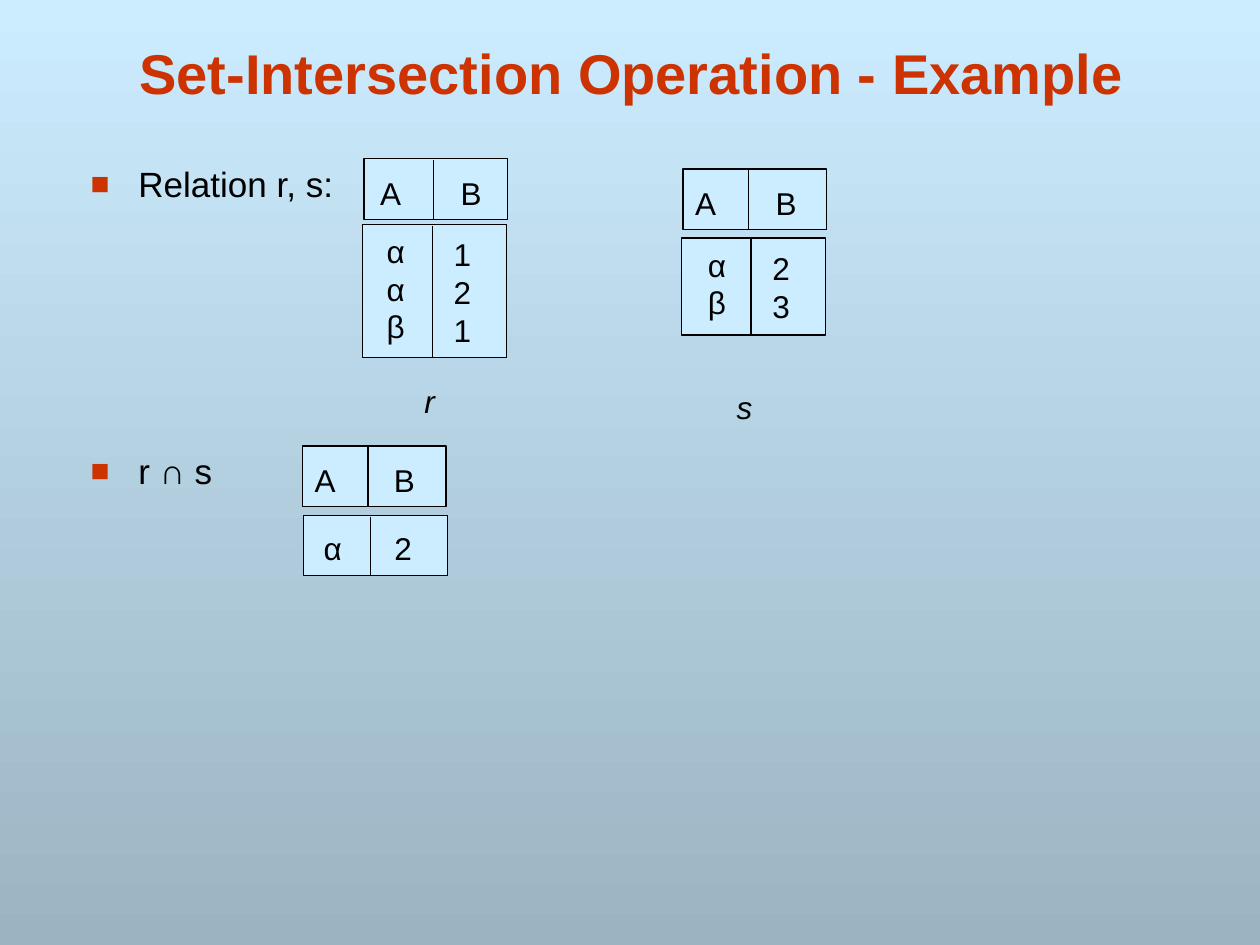
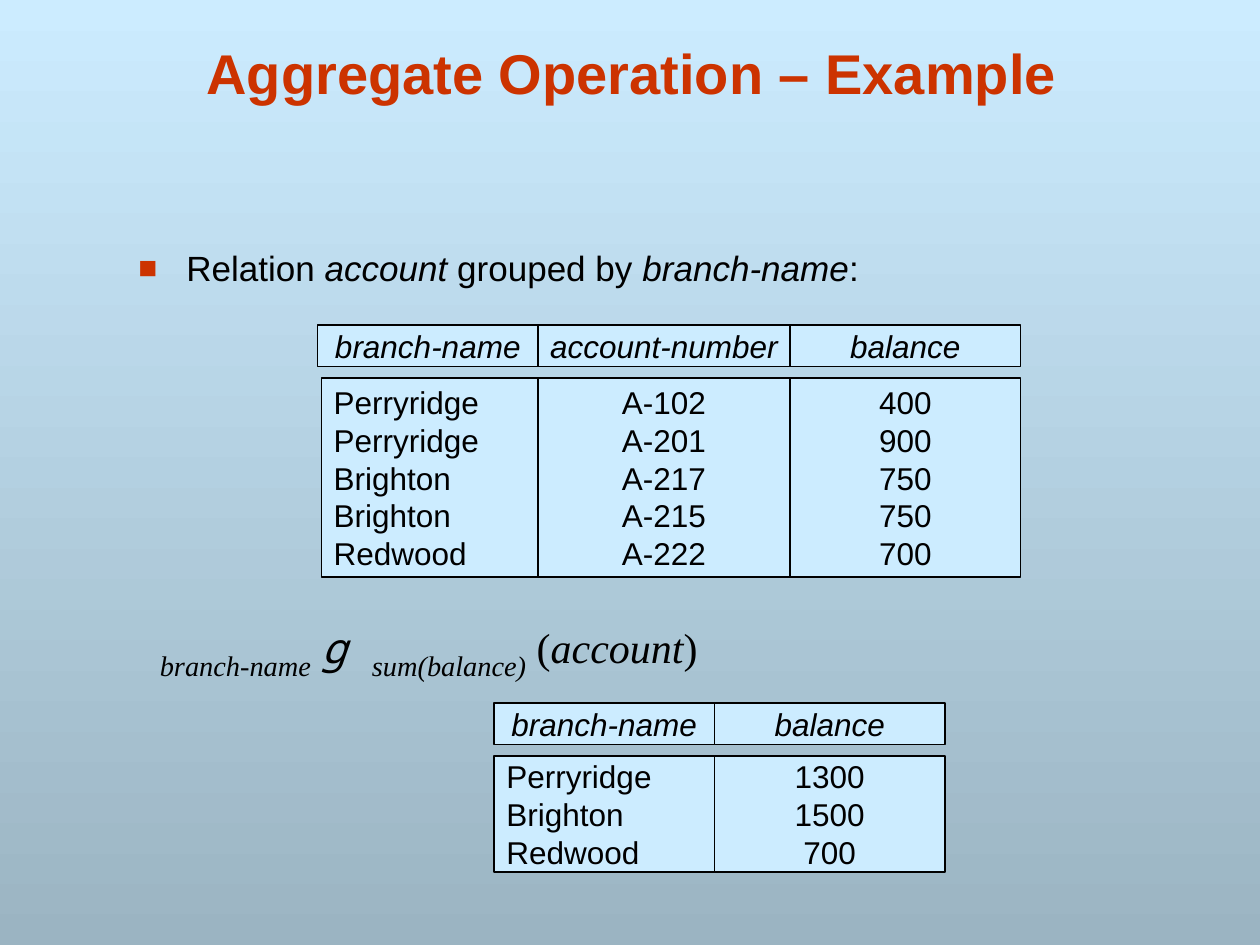
from lxml import etree
from pptx import Presentation
from pptx.dml.color import RGBColor
from pptx.enum.shapes import MSO_CONNECTOR, MSO_SHAPE
from pptx.enum.text import MSO_ANCHOR, PP_ALIGN
from pptx.oxml.ns import qn
from pptx.util import Inches, Pt

RECT, LINE = MSO_SHAPE.RECTANGLE, MSO_CONNECTOR.STRAIGHT
LEFT, MID = PP_ALIGN.LEFT, PP_ALIGN.CENTER
TOP, CENTER, BASE = MSO_ANCHOR.TOP, MSO_ANCHOR.MIDDLE, MSO_ANCHOR.BOTTOM
RED = RGBColor(0xCC, 0x33, 0x00)
BLACK = RGBColor(0, 0, 0)
PALE = RGBColor(0xCC, 0xEC, 0xFF)
SLATE = RGBColor(0x9B, 0xB4, 0xC2)
SANS, SERIF, MONO = "Arial", "Times New Roman", "Noto Sans Mono"

# Slide 1: bullets are (left, top, [(text, italic)])
SET_TITLE = "Set-Intersection Operation - Example"
SET_BULLETS = [(0.62, 1.24, [("Relation r, s:", False)]),
               (0.62, 3.52, [("r ∩ s", False)])]
# Boxes: left, top, height, divider x, columns of (centre x, text top, lines)
BOX_W = 1.14
BOXES = [
    (2.89, 1.26, 0.48, 3.44, [(3.1, 1.33, "A"), (3.74, 1.33, "B")]),
    (2.88, 1.78, 1.06, 3.43, [(3.14, 1.79, "ααβ"), (3.67, 1.82, "121")]),
    (5.42, 1.34, 0.48, 5.94, [(5.6, 1.41, "A"), (6.24, 1.41, "B")]),
    (5.41, 1.89, 0.77, 5.96, [(5.69, 1.9, "αβ"), (6.2, 1.93, "23")]),
    (2.4, 3.54, 0.48, 2.92, [(2.58, 3.61, "A"), (3.21, 3.61, "B")]),
    (2.41, 4.09, 0.48, 2.94, [(2.64, 4.15, "α"), (3.2, 4.15, "2")]),
]
NAMES = [(3.41, 2.98, "r"), (5.91, 3.03, "s")]

# Slide 2
SUM_TITLE = "Aggregate Operation – Example"
SUM_BULLETS = [(1, 1.91, [("Relation ", False), ("account", True),
                          (" grouped by ", False), ("branch-name", True), (":", False)])]
# Formula runs: text, font, size, italic, subscript
FORMULA = [
    ("branch-name", SERIF, 28, True, True),
    (" ", SERIF, 24, False, False),
    ("g ", MONO, 24, True, False),
    ("sum(balance)", SERIF, 28, True, True),
    (" (", SERIF, 24, False, False),
    ("account", SERIF, 24, True, False),
    (")", SERIF, 24, False, False),
]
# Grids: left, top, shift of the first body cell, columns of (width, head, values)
GRIDS = [
    (2.52, 2.58, 0.03, [
        (1.75, "branch-name", ["Perryridge", "Perryridge", "Brighton", "Brighton", "Redwood"]),
        (2, "account-number", ["A-102", "A-201", "A-217", "A-215", "A-222"]),
        (1.83, "balance", ["400", "900", "750", "750", "700"])]),
    (3.92, 5.58, 0, [
        (1.75, "branch-name", ["Perryridge", "Brighton", "Redwood"]),
        (1.83, "balance", ["1300", "1500", "700"])]),
]
HEAD_H, BODY_DROP, ROW_H, TRIM = 0.33, 0.42, 0.33, 0.07


def style(run, size=18, font=SANS, color=BLACK, italic=False, bold=False):
    run.font.size, run.font.name = Pt(size), font
    run.font.color.rgb = color
    run.font.italic, run.font.bold = italic, bold


def fill_text(shape, lines, align=MID, anchor=TOP, wrap=False, **look):
    frame = shape.text_frame
    frame.word_wrap, frame.vertical_anchor = wrap, anchor
    frame.text = "\n".join(lines)
    for para in frame.paragraphs:
        para.alignment = align
        for run in para.runs:
            style(run, **look)


def add_text(slide, x, y, w, h):
    return slide.shapes.add_textbox(Inches(x), Inches(y), Inches(w), Inches(h))


def add_label(slide, mid, y, lines, **look):
    box = add_text(slide, mid - 0.2, y, 0.4, 0.1 + 0.3 * len(lines))
    fill_text(box, lines, **look)


def add_rect(slide, x, y, w, h):
    rect = slide.shapes.add_shape(RECT, Inches(x), Inches(y), Inches(w), Inches(h))
    rect.shadow.inherit = False
    rect.fill.solid()
    rect.fill.fore_color.rgb = PALE
    rect.line.color.rgb, rect.line.width = BLACK, Pt(0.75)
    return rect


def add_rule(slide, x, top, end):
    rule = slide.shapes.add_connector(LINE, Inches(x), Inches(top), Inches(x), Inches(end))
    rule.line.color.rgb, rule.line.width = BLACK, Pt(0.75)
    etree.SubElement(rule._element.spPr, qn("a:effectLst"))


def add_bullet(slide, x, y, parts):
    frame = add_text(slide, x, y, 7.69, 0.45).text_frame
    frame.word_wrap = True
    para = frame.paragraphs[0]
    props = para._p.get_or_add_pPr()
    props.set("marL", str(Inches(0.38)))
    props.set("indent", str(-Inches(0.38)))
    color = etree.SubElement(props, qn("a:buClr"))
    etree.SubElement(color, qn("a:srgbClr"), val=str(RED))
    etree.SubElement(props, qn("a:buSzPct"), val="90000")
    etree.SubElement(props, qn("a:buFont"), typeface=SANS)
    etree.SubElement(props, qn("a:buChar"), char="■")
    for text, italic in parts:
        run = para.add_run()
        run.text = text
        style(run, 20, italic=italic)


def add_slide(deck, title, bullets):
    slide = deck.slides.add_slide(deck.slide_layouts[6])
    back = slide.background.fill
    back.gradient()
    back.gradient_angle = 270
    for stop, color in zip(back.gradient_stops, (PALE, SLATE)):
        stop.color.rgb = color
    fill_text(add_text(slide, 0.6, 0.22, 8.83, 0.67), [title], anchor=BASE,
              wrap=True, size=32, color=RED, bold=True)
    for bullet in bullets:
        add_bullet(slide, *bullet)
    return slide


def add_box(slide, x, y, h, split, cols):
    add_rect(slide, x, y, BOX_W, h)
    add_rule(slide, split, y + 0.01, y + h)
    for mid, top, lines in cols:
        add_label(slide, mid, top, lines)


def add_grid(slide, x, y, shift, cols):
    for i, (w, head, values) in enumerate(cols):
        fill_text(add_rect(slide, x, y, w, HEAD_H), [head], anchor=CENTER, italic=True)
        cell = add_rect(slide, x + (0 if i else shift), y + BODY_DROP,
                        w, ROW_H * len(values) - TRIM)
        fill_text(cell, values, align=MID if i else LEFT, anchor=CENTER)
        x += w


def add_formula(slide):
    frame = add_text(slide, 1.17, 4.83, 7.69, 0.45).text_frame
    frame.word_wrap = True
    for text, font, size, italic, sub in FORMULA:
        run = frame.paragraphs[0].add_run()
        run.text = text
        style(run, size, font, italic=italic)
        if sub:
            run.font._element.set("baseline", "-25000")


def main():
    deck = Presentation()
    deck.slide_width, deck.slide_height = Inches(10), Inches(7.5)

    # Set intersection
    slide = add_slide(deck, SET_TITLE, SET_BULLETS)
    for box in BOXES:
        add_box(slide, *box)
    for mid, top, name in NAMES:
        add_label(slide, mid, top, [name], italic=True)

    # Aggregate
    slide = add_slide(deck, SUM_TITLE, SUM_BULLETS)
    add_formula(slide)
    for grid in GRIDS:
        add_grid(slide, *grid)

    deck.save("out.pptx")


if __name__ == "__main__":
    main()
